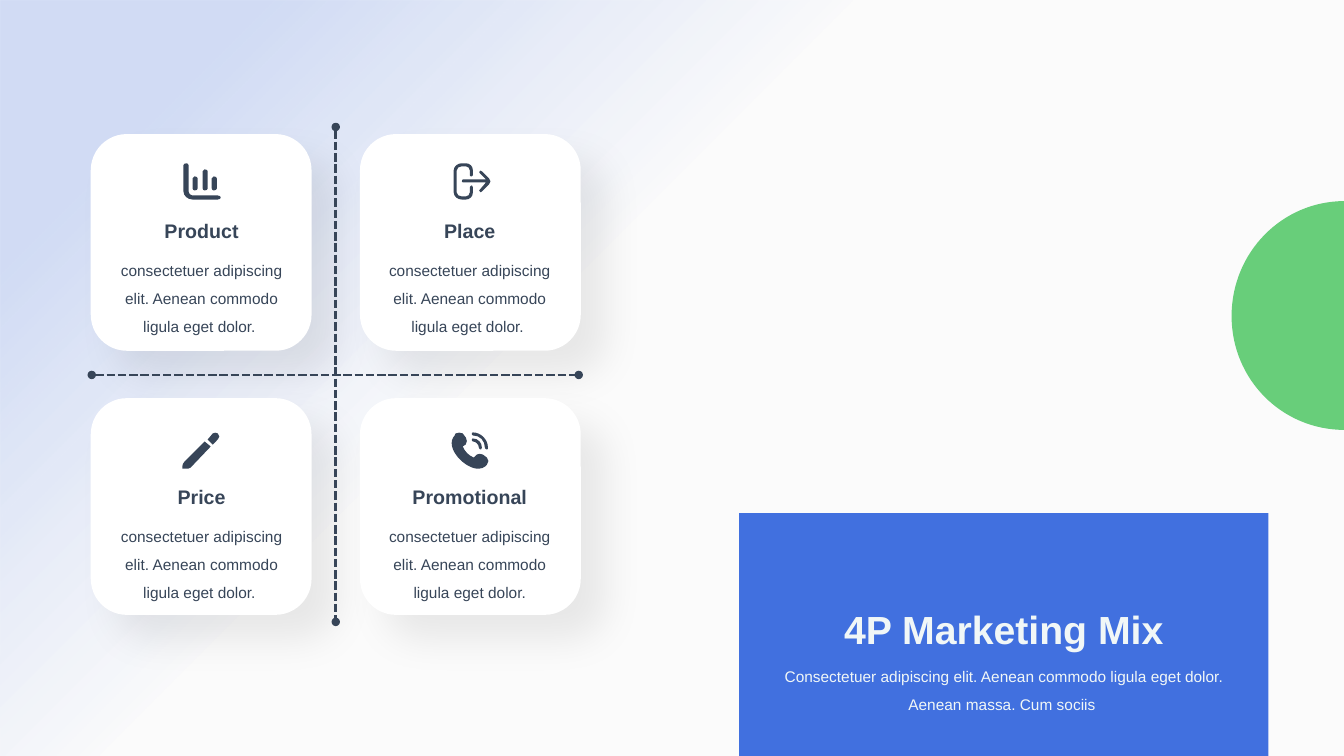
from dataclasses import dataclass

from lxml.etree import SubElement
from pptx import Presentation
from pptx.dml.color import RGBColor
from pptx.enum.dml import MSO_LINE
from pptx.enum.shapes import MSO_CONNECTOR, MSO_SHAPE
from pptx.enum.text import MSO_ANCHOR, MSO_AUTO_SIZE, PP_ALIGN
from pptx.oxml.ns import qn
from pptx.shapes.autoshape import Shape
from pptx.slide import Slide
from pptx.util import Emu, Inches, Pt


@dataclass(frozen=True)
class Theme:
    font: str = "Arial"
    paper: str = "FBFBFB"
    blue: str = "4170DF"
    green: str = "68CE7A"
    white: str = "FFFFFF"
    ink: str = "374558"
    pale: str = "F1F7F7"
    shadow: str = "000000"
    title_size: int = 28
    heading_size: int = 14
    body_size: int = 11


@dataclass(frozen=True)
class Box:
    left: float
    top: float
    width: float
    height: float

    def emu(self) -> list[Emu]:
        return [Inches(side) for side in (self.left, self.top, self.width, self.height)]


@dataclass(frozen=True)
class Grid:
    left: float
    top: float
    column_step: float
    row_step: float

    def cell(self, column: int, row: int, width: float = 0, height: float = 0) -> Box:
        return Box(self.left + column * self.column_step,
                   self.top + row * self.row_step, width, height)


@dataclass(frozen=True)
class Outline:
    left: int
    top: int
    width: int
    height: int
    curve: str


@dataclass(frozen=True)
class Card:
    heading: str
    column: int
    row: int
    icon: tuple[Outline, ...]
    icon_shift: float
    text: str = "consectetuer adipiscing elit. Aenean commodo ligula eget dolor. "


@dataclass(frozen=True)
class TextStyle:
    size: int
    color: str
    bold: bool = False
    spacing: float = 1.5
    anchor: MSO_ANCHOR = MSO_ANCHOR.TOP


def bar(left: int, top: int, height: int) -> Outline:
    foot = height - 2
    return Outline(left, top, 5, height, (
        f"M 2 {height} C 4 {height} 5 {height - 1} 5 {foot} L 5 2 C 5 1 4 0 2 0 "
        f"C 1 0 0 1 0 2 L 0 {foot} C 0 {height - 1} 1 {height} 2 {height} Z"))


CHART = (
    Outline(0, 0, 37, 36,
            "M 9 32 C 7 32 5 30 5 28 L 5 2 C 5 1 4 0 3 0 C 1 0 0 1 0 2 L 0 28 "
            "C 0 32 4 36 9 36 L 34 36 C 36 36 37 35 37 34 C 37 33 36 32 34 32 Z"),
    bar(28, 13, 14), bar(9, 13, 14), bar(19, 6, 21))
EXIT = (
    Outline(0, 0, 19, 36,
            "M 18 22 C 17 22 16 23 16 24 L 16 29 C 16 31 14 33 12 33 L 8 33 "
            "C 5 33 3 31 3 29 L 3 7 C 3 5 5 3 8 3 L 12 3 C 14 3 16 5 16 7 L 16 12 "
            "C 16 13 17 13 18 13 C 18 13 19 13 19 12 L 19 7 C 19 3 16 0 12 0 L 8 0 "
            "C 4 0 0 3 0 7 L 0 29 C 0 33 4 36 8 36 L 12 36 C 16 36 19 33 19 29 "
            "L 19 24 C 19 23 18 22 18 22 Z"),
    Outline(8, 7, 28, 21,
            "M 27 8 L 20 1 C 19 0 18 0 18 1 C 17 1 17 2 18 3 L 24 9 L 1 9 "
            "C 1 9 0 10 0 11 C 0 12 1 12 1 12 L 24 12 L 18 19 C 17 20 17 20 18 21 "
            "C 18 22 19 22 20 21 L 27 14 C 29 12 29 10 27 8 Z"))
PENCIL = (
    Outline(0, 9, 28, 27,
            "M 2 20 C 1 21 0 23 0 24 L 0 27 L 4 27 C 5 27 7 27 8 26 L 28 5 L 22 0 Z"),
    Outline(25, 0, 12, 12,
            "M 10 1 C 9 0 6 0 5 1 L 0 7 L 5 12 L 10 7 C 12 5 12 3 10 1 Z"))
PHONE = (
    Outline(0, 0, 36, 36,
            "M 35 17 C 34 17 33 16 33 15 C 33 8 28 3 21 3 C 20 3 20 2 20 2 "
            "C 20 1 20 0 21 0 C 29 0 36 7 36 15 C 36 16 36 17 35 17 Z "
            "M 30 15 C 30 10 26 6 21 6 C 20 6 20 7 20 8 C 20 8 20 9 21 9 "
            "C 24 9 27 12 27 15 C 27 16 28 17 29 17 C 29 17 30 16 30 15 Z "
            "M 33 34 L 35 32 C 37 30 37 27 35 25 L 31 22 C 29 21 26 21 25 22 L 22 25 "
            "C 17 23 13 19 11 14 L 14 12 C 15 10 16 7 14 5 L 11 1 C 9 0 6 0 4 1 L 3 3 "
            "C -8 15 14 37 27 36 C 29 36 32 35 33 34 Z"),)
HALF_CIRCLE = Outline(0, 0, 227, 112, "M 113 0 C 50 0 0 50 0 112 L 227 112 C 227 50 176 0 113 0 Z")

THEME = Theme()
SLIDE = Box(0, 0, 13.33, 7.5)
BANNER = Box(7.33, 5.09, 5.25, 2.41)
CARD_GRID = Grid(0.9, 1.33, 2.67, 2.62)
HEADING_GRID = Grid(1.02, 2.03, 2.66, 2.64)
BODY_GRID = Grid(1.02, 2.45, 2.66, 2.64)
ICON_GRID = Grid(1.82, 1.62, 2.67, 2.67)
AXES = ((0.91, 3.72, 5.74, 3.72), (3.33, 1.26, 3.33, 6.17))
CARDS = (Card("Product", 0, 0, CHART, 0), Card("Place", 1, 0, EXIT, 0.01),
         Card("Price", 0, 1, PENCIL, -0.01),
         Card("Promotional", 1, 1, PHONE, -0.01, Card.text.rstrip()))
INTRO = "Consectetuer adipiscing elit. Aenean commodo ligula eget dolor. Aenean massa. Cum sociis "
HEADING = TextStyle(THEME.heading_size, THEME.ink, True, anchor=MSO_ANCHOR.BOTTOM)
BODY = TextStyle(THEME.body_size, THEME.ink)
TITLE = TextStyle(THEME.title_size, THEME.pale, True, 1.0)
SUBTITLE = TextStyle(THEME.body_size, THEME.pale)
COMMANDS = {"M": "a:moveTo", "L": "a:lnTo", "C": "a:cubicBezTo", "Z": "a:close"}


def paint(shape: Shape, color: str) -> None:
    shape.shadow.inherit = False
    shape.fill.solid()
    shape.fill.fore_color.rgb = RGBColor.from_string(color)
    shape.line.fill.background()


def add_block(page: Slide, box: Box, color: str, kind: MSO_SHAPE = MSO_SHAPE.RECTANGLE) -> Shape:
    shape = page.shapes.add_shape(kind, *box.emu())
    paint(shape, color)
    return shape


def add_glow(page: Slide) -> None:
    shape = add_block(page, SLIDE, THEME.blue)
    shape.fill.gradient()
    shape.fill.gradient_angle = 315
    for stop, position in zip(shape.fill.gradient_stops, (0.13, 0.41)):
        stop.position = position
        stop.color.rgb = RGBColor.from_string(THEME.blue)
    for color, alpha in zip(shape.element.iter(qn("a:srgbClr")), (22000, 0)):
        SubElement(color, qn("a:alpha"), val=str(alpha))


def add_card(page: Slide, box: Box) -> None:
    shape = add_block(page, box, THEME.white, MSO_SHAPE.ROUNDED_RECTANGLE)
    effects = shape.element.spPr.find(qn("a:effectLst"))
    shadow = SubElement(effects, qn("a:outerShdw"), blurRad=str(Pt(28)), dist=str(Pt(25)),
                        dir="2700000", algn="tl", rotWithShape="0")
    color = SubElement(shadow, qn("a:srgbClr"), val=THEME.shadow)
    SubElement(color, qn("a:alpha"), val="7000")


def add_axis(page: Slide, ends: tuple[float, ...]) -> None:
    axis = page.shapes.add_connector(MSO_CONNECTOR.STRAIGHT, *map(Inches, ends))
    axis.line.color.rgb = RGBColor.from_string(THEME.ink)
    axis.line.width = Pt(2)
    axis.line.dash_style = MSO_LINE.SQUARE_DOT
    outline = axis.element.spPr.find(qn("a:ln"))
    for end in ("a:headEnd", "a:tailEnd"):
        SubElement(outline, qn(end), type="oval")
    SubElement(axis.element.spPr, qn("a:effectLst"))


def add_outline(page: Slide, origin: Box, outline: Outline, color: str) -> Shape:
    unit = Inches(0.01)
    left, top = outline.left * unit, outline.top * unit
    builder = page.shapes.build_freeform(left, top)
    builder.add_line_segments([(left + outline.width * unit, top + outline.height * unit)])
    shape = builder.convert_to_shape(Inches(origin.left), Inches(origin.top))
    contour = next(shape.element.iter(qn("a:path")))
    for step in list(contour):
        contour.remove(step)
    words = outline.curve
    for letter in COMMANDS:
        words = words.replace(letter, f"|{letter}")
    for command in words.split("|")[1:]:
        letter, *numbers = command.split()
        step = SubElement(contour, qn(COMMANDS[letter]))
        for x, y in zip(numbers[::2], numbers[1::2]):
            SubElement(step, qn("a:pt"), x=str(int(x) * unit), y=str(int(y) * unit))
    paint(shape, color)
    return shape


def add_text(page: Slide, box: Box, text: str, style: TextStyle) -> None:
    frame = page.shapes.add_textbox(*box.emu()).text_frame
    frame.word_wrap = True
    frame.auto_size = MSO_AUTO_SIZE.SHAPE_TO_FIT_TEXT
    frame.vertical_anchor = style.anchor
    frame.text = text
    para = frame.paragraphs[0]
    para.alignment = PP_ALIGN.CENTER
    para.line_spacing = style.spacing
    font = para.runs[0].font
    font.name, font.size, font.bold = THEME.font, Pt(style.size), style.bold
    font.color.rgb = RGBColor.from_string(style.color)


def main() -> None:
    deck = Presentation()
    deck.slide_width, deck.slide_height = Inches(SLIDE.width), Inches(SLIDE.height)
    page = deck.slides.add_slide(deck.slide_layouts[6])
    page.background.fill.solid()
    page.background.fill.fore_color.rgb = RGBColor.from_string(THEME.paper)
    add_glow(page)
    add_outline(page, Box(11.64, 2.57, 2.27, 1.12), HALF_CIRCLE, THEME.green).rotation = 270
    add_block(page, BANNER, THEME.blue)
    for card in CARDS:
        add_card(page, CARD_GRID.cell(card.column, card.row, 2.19, 2.15))
    for ends in AXES:
        add_axis(page, ends)
    for card in CARDS:
        add_text(page, BODY_GRID.cell(card.column, card.row, 1.96, 0.91), card.text, BODY)
        add_text(page, HEADING_GRID.cell(card.column, card.row, 1.96, 0.42), card.heading, HEADING)
    add_text(page, Box(BANNER.left, 5.96, BANNER.width, 0.57), "4P Marketing Mix", TITLE)
    add_text(page, Box(7.66, 6.48, 4.6, 0.63), INTRO, SUBTITLE)
    for card in CARDS:
        cell = ICON_GRID.cell(card.column, card.row)
        for outline in card.icon:
            add_outline(page, Box(cell.left + card.icon_shift, cell.top, 0, 0), outline, THEME.ink)
    deck.save("out.pptx")


if __name__ == "__main__":
    main()
